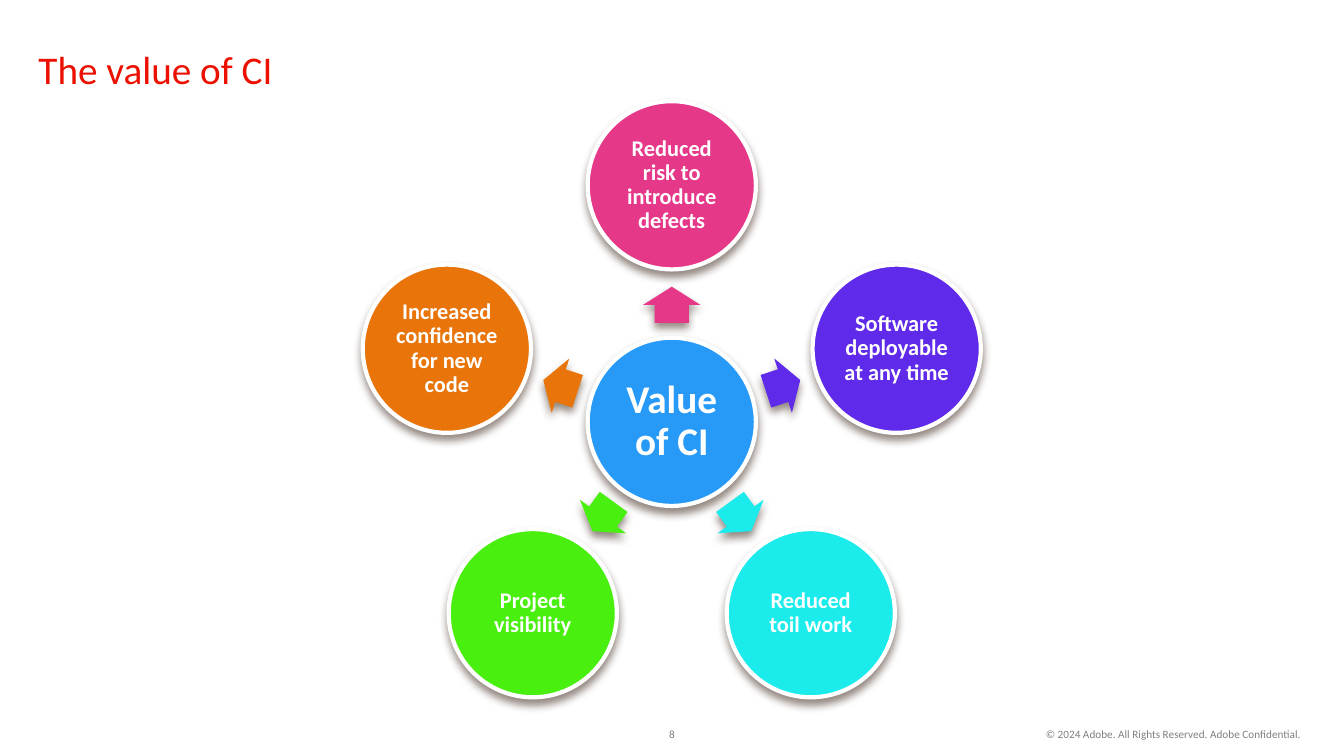
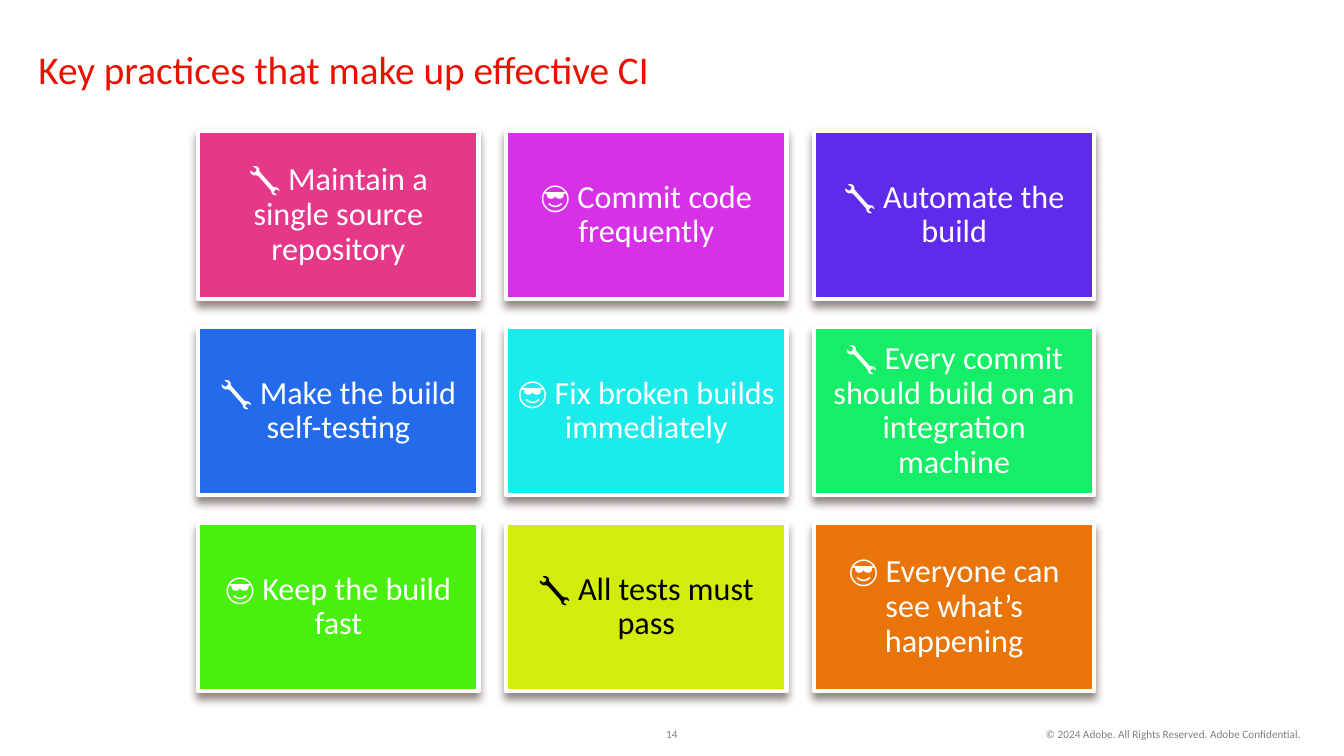
"""Build two slides on continuous integration: its value and its key practices."""
import dataclasses
import math

import lxml.etree
import pptx
import pptx.dml.color
import pptx.enum.shapes
import pptx.enum.text
import pptx.oxml.ns
import pptx.util

Cm = pptx.util.Cm
Pt = pptx.util.Pt
ALIGN = pptx.enum.text.PP_ALIGN
ANCHOR = pptx.enum.text.MSO_ANCHOR
SHAPE = pptx.enum.shapes.MSO_SHAPE


@dataclasses.dataclass(frozen=True)
class Theme:
    font: str = "Calibri"
    red: str = "EB1000"
    grey: str = "808080"
    white: str = "FFFFFF"
    black: str = "000000"
    shadow: str = "4E3B30"
    pink: str = "E63888"
    magenta: str = "D631E7"
    violet: str = "5F2AE9"
    sky: str = "2799F6"
    blue: str = "236BEB"
    cyan: str = "1CEBEC"
    mint: str = "15EE66"
    green: str = "49EF0F"
    yellow: str = "D4EC0C"
    orange: str = "E9740A"
    title_size: int = 28
    hub_size: int = 28
    card_size: int = 23
    node_size: int = 16
    footer_size: int = 8
    outline: int = 3


THEME = Theme()
COPYRIGHT = "© 2024 Adobe. All Rights Reserved. Adobe Confidential."


def rgb(color):
    return pptx.dml.color.RGBColor.from_string(color)


class Deck:
    def __init__(self):
        self.deck = pptx.Presentation()
        self.deck.slide_width = Cm(33.87)
        self.deck.slide_height = Cm(19.05)
        self.page = None

    def add_page(self, title, number):
        self.page = self.deck.slides.add_slide(self.deck.slide_layouts[5])
        box = self.page.shapes.title
        box.left, box.top, box.width, box.height = Cm(0.84), Cm(0.79), Cm(32.16), Cm(1.88)
        self.set_text(box, title, THEME.title_size, THEME.red, ALIGN.LEFT, (0.13, 0.13))
        self.add_footer(COPYRIGHT, (25.83, 18.21, 7.21, 0.76), ALIGN.RIGHT, ANCHOR.TOP, (0.25, 0.13))
        self.add_footer(str(number), (16.15, 18.26, 1.57, 0.46), ALIGN.CENTER, ANCHOR.MIDDLE, (0.3, 0.15))

    def add_footer(self, text, place, align, anchor, inset):
        box = self.page.shapes.add_textbox(*map(Cm, place))
        self.set_text(box, text, THEME.footer_size, THEME.grey, align, inset, anchor)

    def add_shape(self, kind, center, size, fill, outlined=True):
        (x, y), (width, height) = center, size
        shape = self.page.shapes.add_shape(
            kind, Cm(x - width / 2), Cm(y - height / 2), Cm(width), Cm(height))
        shape.fill.solid()
        shape.fill.fore_color.rgb = rgb(fill)
        if outlined:
            shape.line.color.rgb = rgb(THEME.white)
            shape.line.width = Pt(THEME.outline)
        else:
            shape.line.fill.background()
        self.add_shadow(shape)
        return shape

    def add_shadow(self, shape):
        qn = pptx.oxml.ns.qn
        shape.shadow.inherit = False
        effects = shape._element.spPr.find(qn("a:effectLst"))
        shadow = lxml.etree.SubElement(
            effects, qn("a:outerShdw"), blurRad=str(Pt(6)), dist=str(Pt(4)),
            dir="5400000", algn="ctr", rotWithShape="0")
        color = lxml.etree.SubElement(shadow, qn("a:srgbClr"), val=THEME.shadow)
        lxml.etree.SubElement(color, qn("a:alpha"), val="60000")

    def add_circle(self, text, center, diameter, fill, size, inset):
        circle = self.add_shape(SHAPE.OVAL, center, (diameter, diameter), fill)
        self.set_text(circle, text, size, THEME.white, inset=(inset, inset), bold=True, spacing=0.9)

    def add_arrow(self, center, angle, fill):
        arrow = self.add_shape(SHAPE.RIGHT_ARROW, center, (0.91, 1.44), fill, outlined=False)
        arrow.adjustments[0] = 0.6
        arrow.adjustments[1] = 0.5
        arrow.rotation = angle % 360

    def add_card(self, text, center, size, fill, color):
        card = self.add_shape(SHAPE.RECTANGLE, center, size, fill)
        self.set_text(card, text, THEME.card_size, color, inset=(0.25, 0.25), spacing=0.9)

    def set_text(self, box, text, size, color, align=ALIGN.CENTER, inset=(0, 0),
                 anchor=ANCHOR.MIDDLE, bold=False, spacing=1.0):
        frame = box.text_frame
        frame.text = text
        frame.word_wrap = True
        frame.auto_size = pptx.enum.text.MSO_AUTO_SIZE.NONE
        frame.vertical_anchor = anchor
        frame.margin_left = frame.margin_right = Cm(inset[0])
        frame.margin_top = frame.margin_bottom = Cm(inset[1])
        for para in frame.paragraphs:
            para.alignment = align
            para.line_spacing = spacing
            for span in para.runs:
                span.font.name = THEME.font
                span.font.size = Pt(size)
                span.font.bold = bold
                span.font.color.rgb = rgb(color)


def build_value(deck):
    deck.add_page("The value of CI", 8)
    hub = (16.93, 10.63)
    diameter, node_radius, arrow_radius = 4.24, 5.96, 2.95
    benefits = [
        ("Reduced risk to introduce defects", THEME.pink),
        ("Software deployable at any time", THEME.violet),
        ("Reduced toil work", THEME.cyan),
        ("Project visibility", THEME.green),
        ("Increased confidence for new code", THEME.orange),
    ]

    def around(angle, radius):
        turn = math.radians(angle)
        return hub[0] + radius * math.cos(turn), hub[1] + radius * math.sin(turn)

    deck.add_circle("Value of CI", hub, diameter, THEME.sky, THEME.hub_size, 0.1)
    for index, (text, fill) in enumerate(benefits):
        angle = index * 360 / len(benefits) - 90
        deck.add_arrow(around(angle, arrow_radius), angle, fill)
        deck.add_circle(text, around(angle, node_radius), diameter, fill, THEME.node_size, 0.05)


def build_practices(deck):
    deck.add_page("Key practices that make up effective CI", 14)
    left, top, width, height, gap, columns = 5, 3.3, 7.06, 4.24, 0.7, 3
    practices = [
        ("🔧 Maintain a single source repository", THEME.pink),
        ("😎 Commit code frequently", THEME.magenta),
        ("🔧 Automate the build", THEME.violet),
        ("🔧 Make the build self-testing", THEME.blue),
        ("😎 Fix broken builds immediately", THEME.cyan),
        ("🔧 Every commit should build on an integration machine", THEME.mint),
        ("😎 Keep the build fast", THEME.green),
        ("🔧 All tests must pass", THEME.yellow),
        ("😎 Everyone can see what’s happening", THEME.orange),
    ]
    for index, (text, fill) in enumerate(practices):
        row, column = divmod(index, columns)
        center = (left + width / 2 + column * (width + gap),
                  top + height / 2 + row * (height + gap))
        color = THEME.black if fill == THEME.yellow else THEME.white
        deck.add_card(text, center, (width, height), fill, color)


def main():
    deck = Deck()
    build_value(deck)
    build_practices(deck)
    deck.deck.save("out.pptx")


if __name__ == "__main__":
    main()
